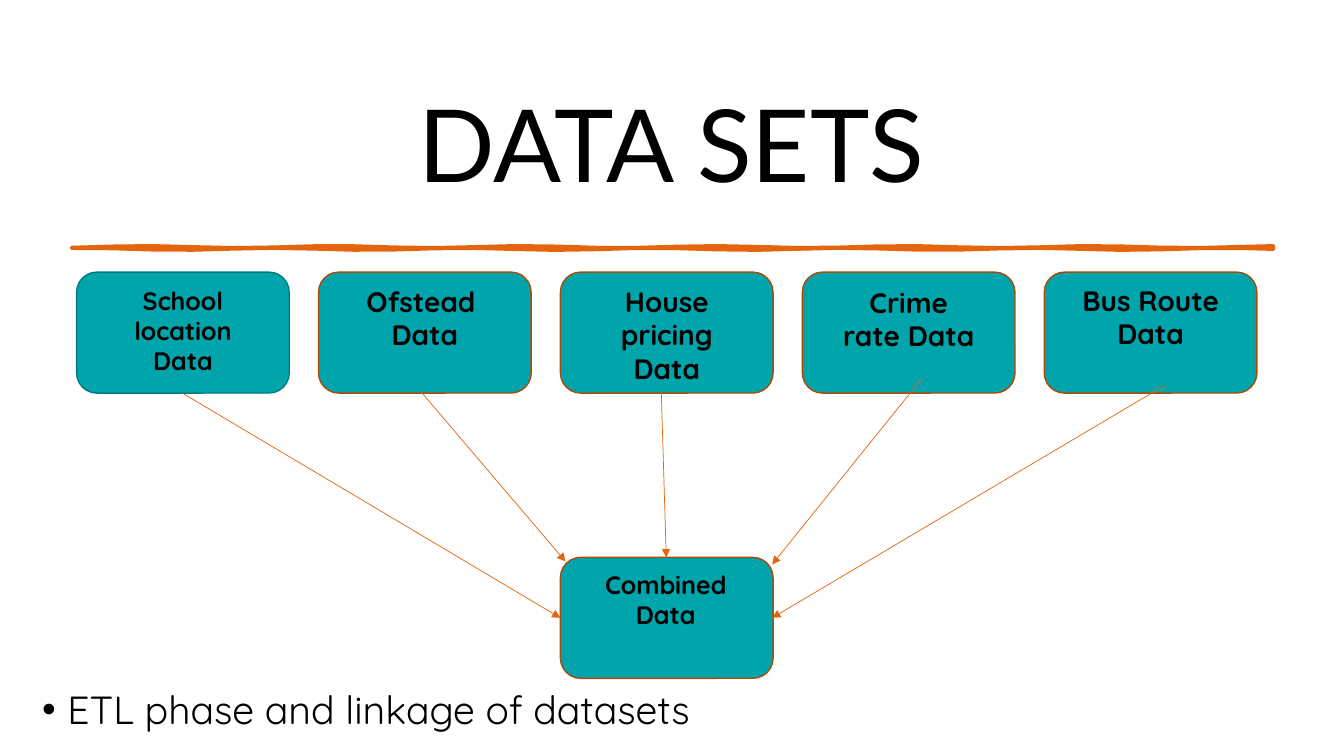
from math import sin
from lxml.etree import SubElement as Sub
from pptx import Presentation
from pptx.dml.color import RGBColor
from pptx.enum.shapes import MSO_CONNECTOR as Link, MSO_SHAPE as Kind
from pptx.enum.text import MSO_ANCHOR as Anchor, PP_ALIGN as Align
from pptx.oxml.ns import qn
from pptx.util import Emu, Pt

TEAL, RUST, ORANGE = "00A5AB", "A94B0A", "E4650E"
BOX_W, BOX_H, STEP = 211, 120, 240
LEFT, TOP = 76, 270


def px(n):
    """100 px to the inch."""
    return Emu(n * 9144)


def color(code):
    return RGBColor.from_string(code)


def paint(shape, fill, line=None, width=0):
    shape.shadow.inherit = False
    shape.fill.solid()
    shape.fill.fore_color.rgb = color(fill)
    if line:
        shape.line.color.rgb = color(line)
        shape.line.width = Pt(width)
    else:
        shape.line.fill.background()


def add_text(slide, x, y, w, h, text, size, face, bold=False, align=Align.CENTER):
    box = slide.shapes.add_textbox(px(x), px(y), px(w), px(h))
    frame = box.text_frame
    frame.word_wrap = True
    frame.text = text
    for para in frame.paragraphs:
        para.alignment = align
        for run in para.runs:
            font = run.font
            font.name, font.size, font.bold = face, Pt(size), bold
            font.color.rgb = color("000000")
    return box


def add_box(slide, x, y, line=RUST):
    box = slide.shapes.add_shape(Kind.ROUNDED_RECTANGLE, px(x), px(y), px(BOX_W), px(BOX_H))
    paint(box, TEAL, line, 1)


def add_label(slide, x, y, h, text, size, fill=None):
    label = add_text(slide, x, y, 159, h, text, size, "Quicksand", True)
    if fill:
        label.fill.solid()
        label.fill.fore_color.rgb = color(fill)


def add_arrow(slide, x1, y1, x2, y2):
    arrow = slide.shapes.add_connector(Link.STRAIGHT, px(x1), px(y1), px(x2), px(y2))
    arrow.line.color.rgb = color(ORANGE)
    arrow.line.width = Pt(0.5)
    Sub(arrow.line._get_or_add_ln(), qn("a:tailEnd"), type="triangle")
    Sub(arrow._element.spPr, qn("a:effectLst"))


def add_rule(slide):
    """A hand-drawn stroke below the title."""
    def wave(x, y):
        return px(x), int(px(1) * (y + sin(x / 30 + y)))

    span = range(71, 1264, 149 // 4 + 3)
    xs = [*span, 1263]
    edge = [wave(x, 247) for x in xs] + [wave(x, 245) for x in reversed(xs)]
    pen = slide.shapes.build_freeform(*edge[0])
    pen.add_line_segments(edge[1:], close=True)
    paint(pen.convert_to_shape(), ORANGE, ORANGE, 2.75)


def add_bullet(slide, text):
    box = add_text(slide, 32, 670, 1089, 75, text, 28, "Quicksand", align=Align.LEFT)
    para = box.text_frame.paragraphs[0]
    props = para._p.get_or_add_pPr()
    props.set("marL", str(px(25)))
    props.set("indent", str(-px(25)))
    Sub(props, qn("a:buFont"), typeface="Arial")
    Sub(props, qn("a:buChar"), char="•")
    para.line_spacing = 1.1


def main():
    deck = Presentation()
    deck.slide_width, deck.slide_height = Emu(px(4000) // 3), px(750)
    slide = deck.slides.add_slide(deck.slide_layouts[6])

    # Backdrop
    back = slide.shapes.add_shape(Kind.RECTANGLE, 0, 0, deck.slide_width, deck.slide_height)
    paint(back, "FFFFFF")

    # Title and rule
    title = add_text(slide, 69, 69, 1194, 144, "DATA SETS", 72, "Lato")
    title.text_frame.vertical_anchor = Anchor.MIDDLE
    add_rule(slide)

    add_bullet(slide, "ETL phase and linkage of datasets")

    # Source data sets: label, size, top, height, fill
    sets = [
        ("School location Data", 18, 278, 101, None),
        ("Ofstead \nData", 20, 277, 77, None),
        ("House pricing Data", 20, 277, 111, TEAL),
        ("Crime\vrate Data", 20, 278, 77, None),
        ("Bus Route Data", 20, 276, 77, None),
    ]
    for i in range(len(sets)):
        add_box(slide, LEFT + i * STEP, TOP, RUST if i else "007A7F")
    for i, (text, size, y, h, fill) in enumerate(sets):
        add_label(slide, LEFT + i * STEP + 26, y, h, text, size, fill)

    # Combined data set
    mid = LEFT + 2 * STEP
    add_box(slide, mid, 553)
    add_label(slide, mid + 25, 560, 71, "Combined Data", 18, TEAL)

    # Arrows into the combined set
    for ends in [
        (181, 390, 556, 613),
        (418, 389, 561, 557),
        (656, 387, 661, 553),
        (915, 375, 766, 560),
        (1156, 382, 766, 613),
    ]:
        add_arrow(slide, *ends)

    deck.save("out.pptx")


if __name__ == "__main__":
    main()
